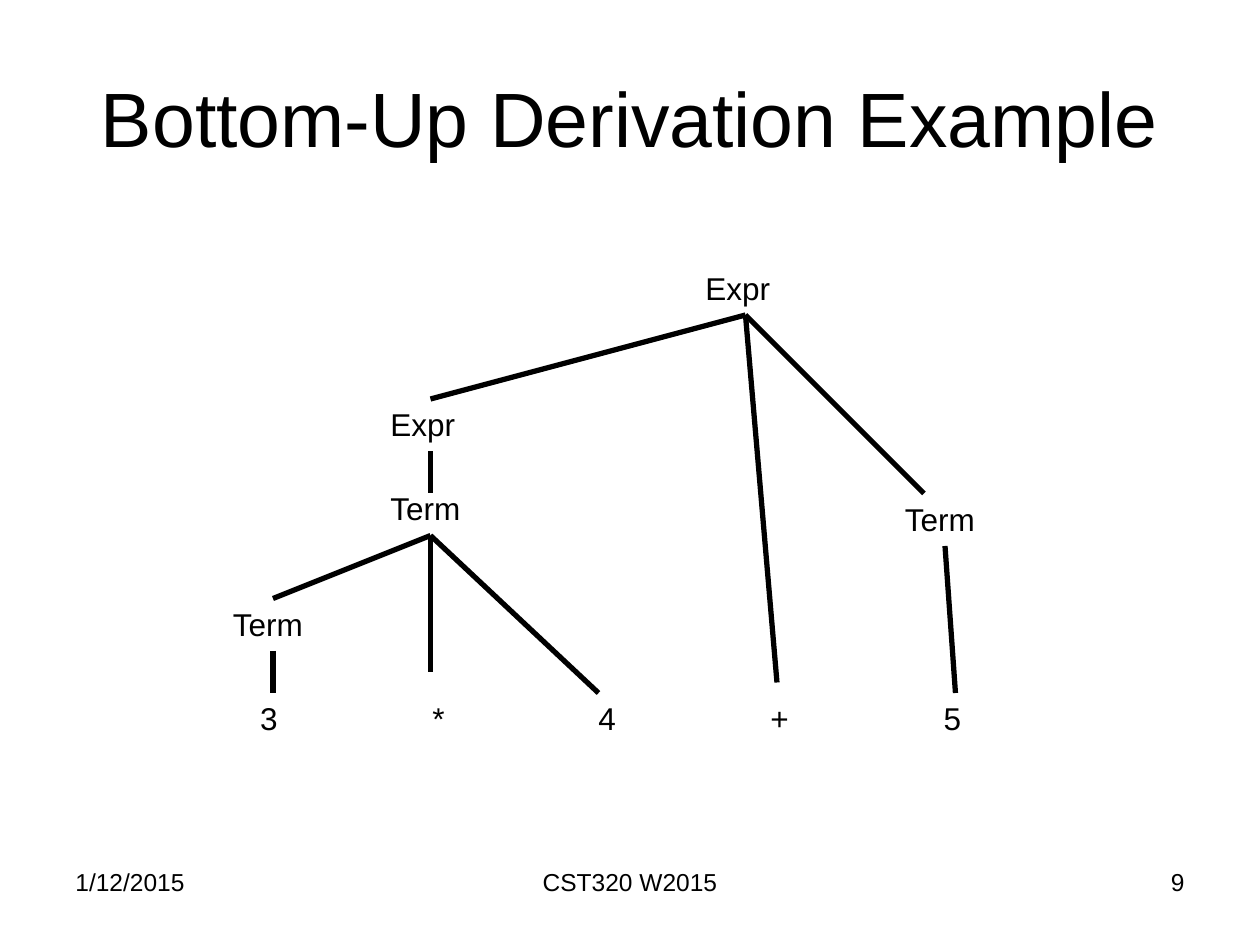
from dataclasses import dataclass

from lxml import etree
from pptx import Presentation, util as u
from pptx.enum import shapes, text
from pptx.dml.color import RGBColor
from pptx.oxml.ns import qn

COLORS = {"ink": "000000", "paper": "FFFFFF"}
CELL = u.Inches(1) / 12
LABEL_H = 4.8
FOOTER_ROW, FOOTER_H = 82, 6.25
ALIGN = text.PP_ALIGN
ANCHOR = text.MSO_ANCHOR


@dataclass(frozen=True)
class Label:
    text: str
    col: float
    row: float
    width: float
    height: float = LABEL_H
    size: int = 18
    align: ALIGN = ALIGN.LEFT
    wrap: bool = False


@dataclass(frozen=True)
class Fan:
    start: tuple[float, float]
    ends: tuple[tuple[float, float], ...]


def grid(n: float) -> int:
    return round(n * CELL)


def rgb(name: str) -> RGBColor:
    return RGBColor.from_string(COLORS[name])


def write(sp, words: str, size: int, align: ALIGN, frame: dict) -> None:
    tf = sp.text_frame
    for name, value in frame.items():
        setattr(tf, name, value)
    p = tf.paragraphs[0]
    p.alignment = align
    r = p.add_run()
    r.text = words
    for name, value in {"name": "Arial", "size": u.Pt(size)}.items():
        setattr(r.font, name, value)
    r.font.color.rgb = rgb("ink")


def draw_label(s, label: Label) -> None:
    box = map(grid, (label.col, label.row, label.width, label.height))
    sp = s.shapes.add_textbox(*box)
    fit = text.MSO_AUTO_SIZE.NONE if label.wrap else text.MSO_AUTO_SIZE.SHAPE_TO_FIT_TEXT
    frame = {"word_wrap": label.wrap, "auto_size": fit, "vertical_anchor": ANCHOR.TOP}
    write(sp, label.text, label.size, label.align, frame)


def draw_fan(s, fan: Fan) -> None:
    for end in fan.ends:
        points = map(grid, (*fan.start, *end))
        c = s.shapes.add_connector(shapes.MSO_CONNECTOR.STRAIGHT, *points)
        c.line.color.rgb = rgb("ink")
        c.line.width = u.Pt(3)
        etree.SubElement(c._element.spPr, qn("a:effectLst"))


def draw_title(s, words: str) -> None:
    sp = s.shapes.title
    place = {"left": 6, "top": 3.6, "width": 108, "height": 15}
    for name, value in place.items():
        setattr(sp, name, grid(value))
    frame = {"word_wrap": True, "auto_size": text.MSO_AUTO_SIZE.NONE,
             "vertical_anchor": ANCHOR.MIDDLE}
    write(sp, words, 44, ALIGN.CENTER, frame)


EXPR_W, TERM_W, LEAF_W = 8.6, 9.4, 4.1
NODES = [
    Label("Expr", 66, 25, EXPR_W),
    Label("Expr", 36, 38, EXPR_W),
    Label("Term", 36, 46, TERM_W),
    Label("Term", 85, 47, TERM_W),
    Label("Term", 21, 57, TERM_W),
]
LEAVES = [
    Label(token, col, 66, width)
    for token, col, width in [
        ("3", 23.6, LEAF_W), ("*", 40, 3.6), ("4", 55.8, LEAF_W),
        ("+", 72.2, 4.2), ("5", 88.7, LEAF_W),
    ]
]
FOOTERS = [
    Label(words, col, FOOTER_ROW, width, FOOTER_H, 14, align, True)
    for words, col, width, align in [
        ("1/12/2015", 6, 28, ALIGN.LEFT),
        ("CST320 W2015", 41, 38, ALIGN.CENTER),
        ("9", 86, 28, ALIGN.RIGHT),
    ]
]
FANS = [
    Fan((71, 30), ((41, 38), (74, 65), (88, 47))),
    Fan((41, 43), ((41, 47),)),
    Fan((41, 51), ((26, 57), (41, 64), (57, 66))),
    Fan((26, 62), ((26, 66),)),
    Fan((90, 52), ((91, 66),)),
]

prs = Presentation()
prs.slide_width, prs.slide_height = grid(120), grid(90)
s = prs.slides.add_slide(prs.slide_layouts[5])
s.background.fill.solid()
s.background.fill.fore_color.rgb = rgb("paper")

draw_title(s, "Bottom-Up Derivation Example")
for label in FOOTERS + NODES + LEAVES:
    draw_label(s, label)
for fan in FANS:
    draw_fan(s, fan)

prs.save("out.pptx")
